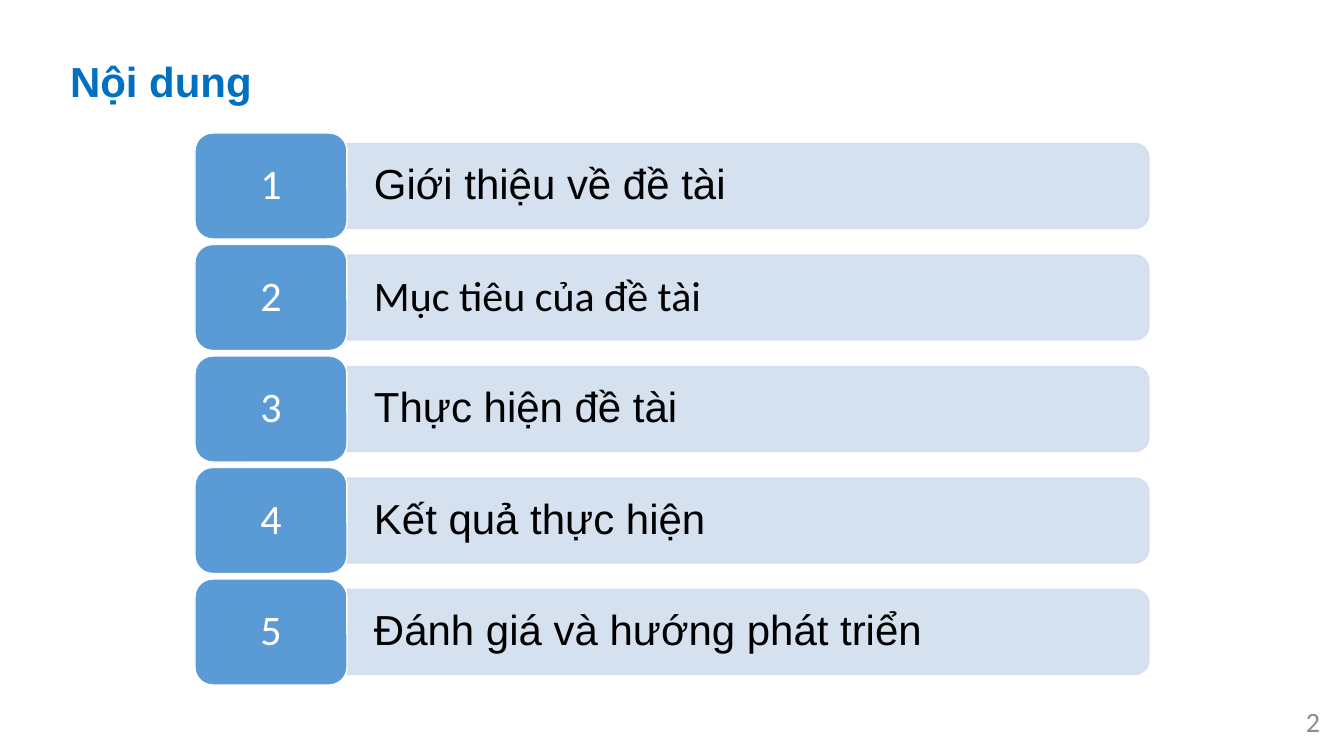
"""Build the contents slide: a title and five numbered topic bars."""
from lxml import etree
from pptx import Presentation
from pptx.dml.color import RGBColor
from pptx.enum.shapes import MSO_SHAPE
from pptx.enum.text import MSO_ANCHOR, PP_ALIGN
from pptx.oxml.ns import qn
from pptx.util import Pt

TILE, BAR = MSO_SHAPE.ROUNDED_RECTANGLE, MSO_SHAPE.ROUND_2_SAME_RECTANGLE
MIDDLE = MSO_ANCHOR.MIDDLE
LEFT, CENTER, RIGHT = PP_ALIGN.LEFT, PP_ALIGN.CENTER, PP_ALIGN.RIGHT

TITLE = "Nội dung"
PAGE = "2"
TOPICS = [
    ("Giới thiệu về đề tài", "Arial"),
    ("Mục tiêu của đề tài", "Calibri"),
    ("Thực hiện đề tài", "Arial"),
    ("Kết quả thực hiện", "Arial"),
    ("Đánh giá và hướng phát triển", "Arial"),
]
COLORS = {"title": "0070C0", "tile": "5B9BD5", "bar": "D2DEEF",
          "white": "FFFFFF", "black": "000000", "page": "8C8C8C"}

PX = 914400 / 100.8
SLIDE_W, SLIDE_H = 1344, 756
TILE_X, TILE_W, TILE_H = 195, 152, 106
FIRST_Y, LAST_Y = 133, 579
BAR_W, BAR_H = 802, 85
LABEL_H = 77


def emu(*lengths):
    return [round(n * PX) for n in lengths]


def rgb(name):
    return RGBColor.from_string(COLORS[name])


def write(sp, text, size=30, font="Arial", color="black", bold=False,
          align=LEFT, spacing=1.0, inset=(10, 5)):
    tf = sp.text_frame
    tf.word_wrap = True
    tf.vertical_anchor = MIDDLE
    tf.margin_left, tf.margin_top = tf.margin_right, tf.margin_bottom = emu(*inset)
    p = tf.paragraphs[0]
    p.alignment, p.line_spacing = align, spacing
    r = p.add_run()
    r.text = text
    r.font.size, r.font.name, r.font.bold = Pt(size), font, bold
    r.font.color.rgb = rgb(color)


def add_shape(s, kind, box, fill, line, alpha=None):
    sp = s.shapes.add_shape(kind, *emu(*box))
    sp.shadow.inherit = False
    sp.fill.solid()
    sp.fill.fore_color.rgb = rgb(fill)
    sp.line.color.rgb = rgb(line)
    sp.line.width = Pt(1)
    if alpha:
        for clr in sp._element.spPr.iter(qn("a:srgbClr")):
            etree.SubElement(clr, qn("a:alpha"), val=str(alpha * 1000))
    return sp


def add_topic(s, i, topic, font):
    y = FIRST_Y + i * (LAST_Y - FIRST_Y) / (len(TOPICS) - 1)
    mid = y + TILE_H / 2
    x = TILE_X + TILE_W
    upright = (x + (BAR_W - BAR_H) / 2, mid - BAR_W / 2, BAR_H, BAR_W)
    add_shape(s, BAR, upright, "bar", "bar", alpha=90).rotation = 90
    label = s.shapes.add_textbox(*emu(x, mid - LABEL_H / 2, BAR_W, LABEL_H))
    write(label, topic, font=font, spacing=0.9, inset=(27, 14))
    tile = add_shape(s, TILE, (TILE_X, y, TILE_W, TILE_H), "tile", "white")
    write(tile, str(i + 1), font="Calibri", color="white", align=CENTER,
          spacing=0.9, inset=(12, 6))


def main():
    prs = Presentation()
    prs.slide_width, prs.slide_height = emu(SLIDE_W, SLIDE_H)
    s = prs.slides.add_slide(prs.slide_layouts[6])
    write(s.shapes.add_textbox(*emu(1028, 701, 302, 40)), PAGE,
          size=20, font="Calibri", color="page", align=RIGHT)
    for i, (topic, font) in enumerate(TOPICS):
        add_topic(s, i, topic, font)
    write(s.shapes.add_textbox(*emu(50, 50, 222, 61)), TITLE,
          color="title", bold=True, align=CENTER)
    prs.save("out.pptx")


if __name__ == "__main__":
    main()
